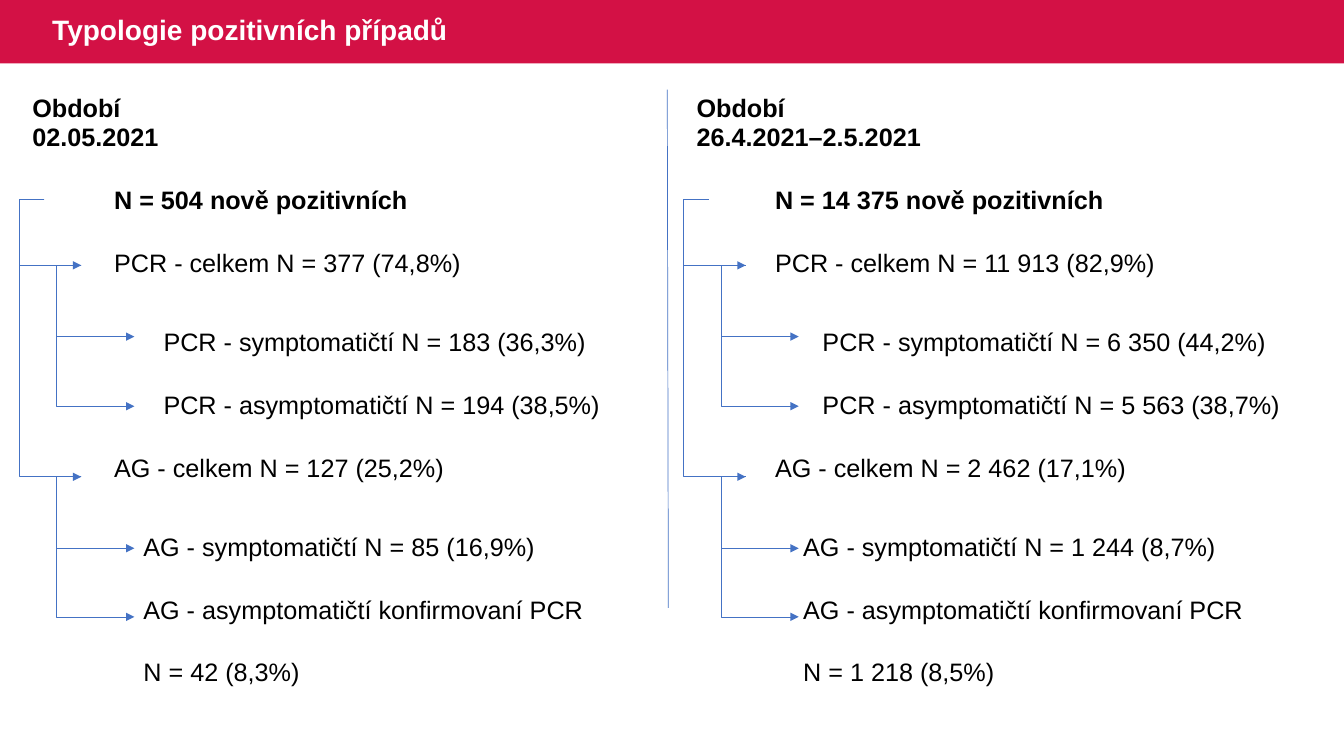
from dataclasses import dataclass

from lxml.etree import SubElement
from pptx import Presentation
from pptx.dml.color import RGBColor
from pptx.enum.shapes import MSO_CONNECTOR, MSO_SHAPE
from pptx.enum.text import MSO_ANCHOR
from pptx.oxml.ns import qn
from pptx.util import Inches, Pt


@dataclass(frozen=True)
class Theme:
    font: str = "Arial"
    banner: RGBColor = RGBColor(0xD3, 0x11, 0x45)
    title: RGBColor = RGBColor(0xFF, 0xFF, 0xFF)
    text: RGBColor = RGBColor(0, 0, 0)
    line: RGBColor = RGBColor(0x44, 0x72, 0xC4)
    title_size: Pt = Pt(20)
    text_size: Pt = Pt(18)
    line_width: Pt = Pt(0.5)
    plain_table: str = "{2D5ABB26-0587-4C30-8999-92F81FD0307C}"


TOP, MIDDLE, BOTTOM = MSO_ANCHOR.TOP, MSO_ANCHOR.MIDDLE, MSO_ANCHOR.BOTTOM

# First column, last column, anchor and weight of the text in each table row
ROW_LAYOUT = [
    (0, 3, BOTTOM, True),
    (0, 3, TOP, True),
    (1, 3, TOP, True),
    (1, 3, TOP, False),
    (3, 3, MIDDLE, False),
    (3, 3, MIDDLE, False),
    (1, 3, MIDDLE, False),
    (2, 3, BOTTOM, False),
    (2, 3, BOTTOM, False),
    (2, 3, BOTTOM, False),
]
TABLE_TOP, ROW_HEIGHT = 8, 8.29
COLUMN_WIDTHS = [6.08, 2.18, 1.5, 39.83]

ALL_Y, PCR_Y, AG_Y = 26.4, 35.1, 63.07
# Start, trunk and end across, then the start height and the branch heights
MAIN_LEVEL, SUB_LEVEL = (3.3, 1.43, 6.05), (6.05, 4.2, 10)
BRANCHES = [
    (MAIN_LEVEL, ALL_Y, [PCR_Y, AG_Y]),
    (SUB_LEVEL, PCR_Y, [44.53, 53.73]),
    (SUB_LEVEL, AG_Y, [72.53, 81.6]),
]

# Table left, column scale, bracket offset and row texts of each period
PERIODS = [
    (2.33, 1, 0, [
        "Období",
        "02.05.2021",
        "N = 504 nově pozitivních",
        "PCR - celkem N = 377 (74,8%)",
        "PCR - symptomatičtí N = 183 (36,3%)",
        "PCR - asymptomatičtí N = 194 (38,5%)",
        "AG - celkem N = 127 (25,2%)",
        "AG - symptomatičtí N = 85 (16,9%)",
        "AG - asymptomatičtí konfirmovaní PCR",
        "N = 42 (8,3%)",
    ]),
    (51.75, 0.96, 49.43, [
        "Období",
        "26.4.2021–2.5.2021",
        "N = 14 375 nově pozitivních",
        "PCR - celkem N = 11 913 (82,9%)",
        "PCR - symptomatičtí N = 6 350 (44,2%)",
        "PCR - asymptomatičtí N = 5 563 (38,7%)",
        "AG - celkem N = 2 462 (17,1%)",
        "AG - symptomatičtí N = 1 244 (8,7%)",
        "AG - asymptomatičtí konfirmovaní PCR",
        "N = 1 218 (8,5%)",
    ]),
]


class SlideBuilder:
    """Draws on one slide; lengths are hundredths of its width or height."""

    def __init__(self, presentation, theme):
        self.theme = theme
        self.width = presentation.slide_width
        self.height = presentation.slide_height
        self.slide = presentation.slides.add_slide(presentation.slide_layouts[6])

    def across(self, share):
        return round(self.width * share / 100)

    def down(self, share):
        return round(self.height * share / 100)

    def box(self, left, top, width, height):
        return (self.across(left), self.down(top),
                self.across(width), self.down(height))

    def run(self, paragraph, text, size, color, bold):
        run = paragraph.add_run()
        run.text = text
        run.font.name = self.theme.font
        run.font.size = size
        run.font.bold = bold
        run.font.color.rgb = color

    def banner(self, height):
        shape = self.slide.shapes.add_shape(
            MSO_SHAPE.RECTANGLE, *self.box(0, 0, 100, height))
        shape.shadow.inherit = False
        shape.fill.solid()
        shape.fill.fore_color.rgb = self.theme.banner
        shape.line.fill.background()

    def title(self, text, left, width, height):
        shape = self.slide.shapes.add_textbox(*self.box(left, 0, width, height))
        frame = shape.text_frame
        frame.word_wrap = True
        frame.vertical_anchor = MIDDLE
        paragraph = frame.paragraphs[0]
        paragraph.line_spacing = 0.9
        self.run(paragraph, text, self.theme.title_size, self.theme.title, True)

    def connector(self, shapes, kind, start, end):
        connector = shapes.add_connector(
            kind, self.across(start[0]), self.down(start[1]),
            self.across(end[0]), self.down(end[1]))
        connector.line.color.rgb = self.theme.line
        connector.line.width = self.theme.line_width
        SubElement(connector._element.spPr, qn("a:effectLst"))
        return connector

    def branch(self, shapes, level, start_y, end_y):
        """Run back from the start to the trunk, then down and out to an arrowhead."""
        start, trunk, end = level
        connector = self.connector(
            shapes, MSO_CONNECTOR.ELBOW, (start, start_y), (end, end_y))
        properties = connector._element.spPr
        bend = round((trunk - start) / (end - start) * 100000)
        SubElement(properties.find(".//" + qn("a:avLst")), qn("a:gd"),
                   name="adj1", fmla=f"val {bend}")
        SubElement(properties.find(qn("a:ln")), qn("a:tailEnd"), type="triangle")

    def brackets(self, offset):
        shapes = self.slide.shapes.add_group_shape().shapes
        for level, start_y, ends in BRANCHES:
            shifted = [position + offset for position in level]
            for end_y in ends:
                self.branch(shapes, shifted, start_y, end_y)

    def period_table(self, left, scale, texts):
        widths = [width * scale for width in COLUMN_WIDTHS]
        frame = self.slide.shapes.add_table(
            len(texts), len(widths),
            *self.box(left, TABLE_TOP, sum(widths), ROW_HEIGHT * len(texts)))
        table = frame.table
        table.first_row = table.horz_banding = False
        table._tbl.tblPr.find(qn("a:tableStyleId")).text = self.theme.plain_table
        for column, width in zip(table.columns, widths):
            column.width = self.across(width)
        for row in table.rows:
            row.height = self.down(ROW_HEIGHT)
        for cell in table.iter_cells():
            cell.fill.background()
        for index, (text, layout) in enumerate(zip(texts, ROW_LAYOUT)):
            first, last, anchor, bold = layout
            cell = table.cell(index, first)
            if first < last:
                cell.merge(table.cell(index, last))
            else:
                table.cell(index, 1).merge(table.cell(index, first - 1))
            cell.vertical_anchor = anchor
            cell.margin_left = cell.margin_right = self.across(0.08)
            cell.margin_top = self.down(0.13)
            cell.margin_bottom = 0
            self.run(cell.text_frame.paragraphs[0], text,
                     self.theme.text_size, self.theme.text, bold)


def main():
    presentation = Presentation()
    presentation.slide_width = Inches(13.33)
    presentation.slide_height = Inches(7.5)
    builder = SlideBuilder(presentation, Theme())
    builder.banner(8.4)
    builder.title("Typologie pozitivních případů", 3.15, 52.3, 8.4)
    builder.connector(builder.slide.shapes, MSO_CONNECTOR.STRAIGHT,
                      (49.65, 11.87), (49.73, 80.4))
    for left, scale, offset, texts in PERIODS:
        builder.period_table(left, scale, texts)
        builder.brackets(offset)
    presentation.save("out.pptx")


if __name__ == "__main__":
    main()
